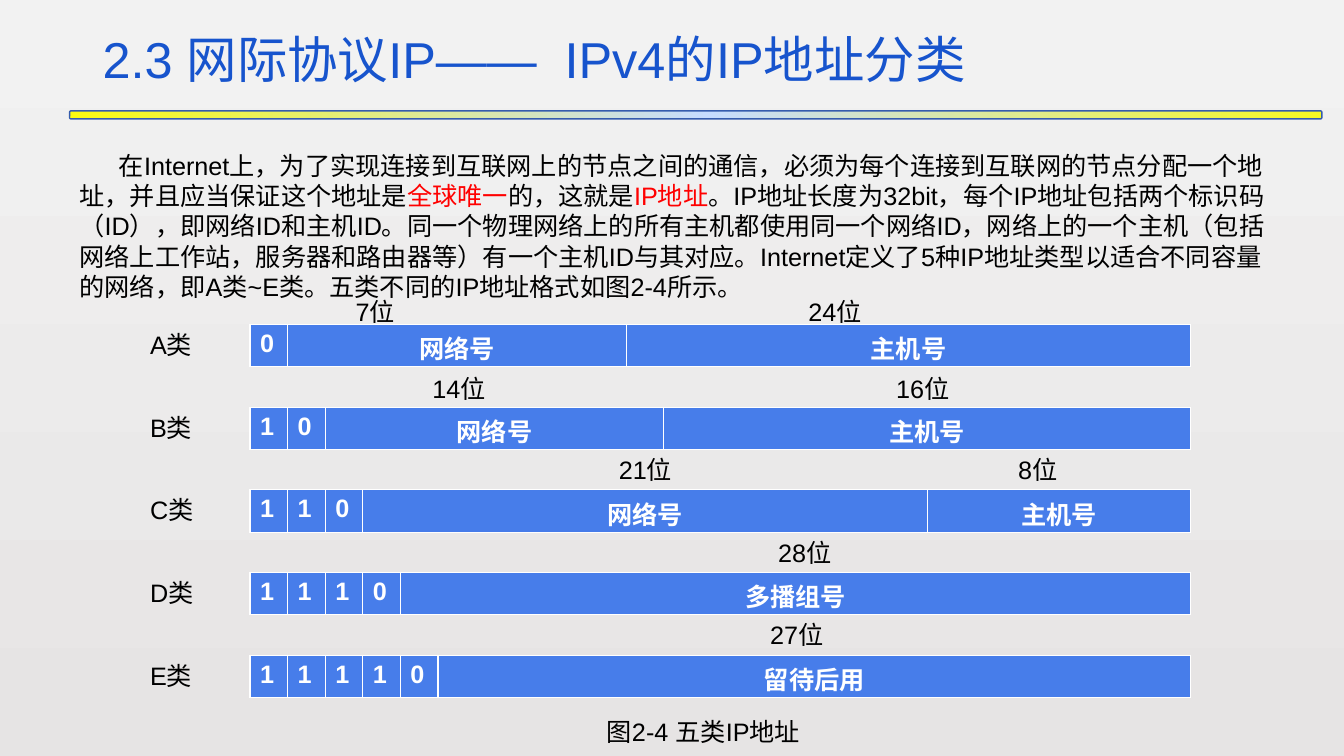
from dataclasses import dataclass

import pptx
import pptx.dml.color
import pptx.enum.shapes
import pptx.enum.text
import pptx.oxml
import pptx.oxml.ns
import pptx.util

Inches = pptx.util.Inches
Pt = pptx.util.Pt


@dataclass(frozen=True)
class Theme:
    font: str = "Arial"
    title_size: int = 36
    body_size: int = 18
    title: str = "1754CD"
    text: str = "000000"
    accent: str = "FF0000"
    field: str = "477DEA"
    field_text: str = "FFFFFF"
    rule_line: str = "355CAD"
    rule_stops: tuple = ((0, "FBFB11"), (51, "C6DCFF"), (100, "F7F923"))
    backdrop_stops: tuple = ((0, "F2F2F2"), (100, "E6E4E4"))


THEME = Theme()
FIELD_LEFT = 2.48
FIELD_WIDTH = 9.33
FIELD_UNITS = 25
ROW_HEIGHT = 0.42
FIRST_ROW_TOP = 3.22
ROW_PITCH = 0.82

INTRO = (
    ("在Internet上，为了实现连接到互联网上的节点之间的通信，必须为每个连接到互联网的节点"
     "分配一个地址，并且应当保证这个地址是", THEME.text),
    ("全球唯一", THEME.accent),
    ("的，这就是", THEME.text),
    ("IP地址", THEME.accent),
    ("。IP地址长度为32bit，每个IP地址包括两个标识码（ID），即网络ID和主机ID。"
     "同一个物理网络上的所有主机都使用同一个网络ID，网络上的一个主机"
     "（包括网络上工作站，服务器和路由器等）有一个主机ID与其对应。"
     "Internet定义了5种IP地址类型以适合不同容量的网络，即A类~E类。"
     "五类不同的IP地址格式如图2-4所示。", THEME.text),
)

# name, prefix bits, (field, units), lift of the lengths, (length, left)
ADDRESS_CLASSES = (
    ("A类", "0", (("网络号", 9), ("主机号", 15)), 0.33, (("7位", 3.43), ("24位", 7.92))),
    ("B类", "10", (("网络号", 9), ("主机号", 14)), 0.39, (("14位", 4.19), ("16位", 8.79))),
    ("C类", "110", (("网络号", 15), ("主机号", 7)), 0.4, (("21位", 6.04), ("8位", 10))),
    ("D类", "1110", (("多播组号", 21),), 0.4, (("28位", 7.62),)),
    ("E类", "11110", (("留待后用", 20),), 0.41, (("27位", 7.54),)),
)


def rgb(colour):
    return pptx.dml.color.RGBColor.from_string(colour)


def style_font(font, size, colour=None, bold=None):
    font.name = THEME.font
    font.size = Pt(size)
    font.bold = bold
    if colour:
        font.color.rgb = rgb(colour)


def set_gradient(fill, owner, stops, angle):
    fill.gradient()
    fill.gradient_angle = angle
    stop_list = owner.find(".//" + pptx.oxml.ns.qn("a:gsLst"))
    for stop in list(stop_list):
        stop_list.remove(stop)
    for position, colour in stops:
        stop_list.append(pptx.oxml.parse_xml(
            f'<a:gs {pptx.oxml.ns.nsdecls("a")} pos="{position * 1000}">'
            f'<a:srgbClr val="{colour}"/></a:gs>'))


def add_text(slide, left, top, width, height, text, size=THEME.body_size, colour=THEME.text):
    frame = slide.shapes.add_textbox(
        Inches(left), Inches(top), Inches(width), Inches(height)).text_frame
    frame.word_wrap = True
    paragraph = frame.paragraphs[0]
    paragraph.text = text
    style_font(paragraph.font, size, colour)
    return frame


def add_title(slide):
    frame = add_text(slide, 0.92, 0.07, 11.5, 0.87, "2.3 网际协议IP——  IPv4的IP地址分类",
                     THEME.title_size, THEME.title)
    frame.vertical_anchor = pptx.enum.text.MSO_ANCHOR.BOTTOM
    frame.paragraphs[0].line_spacing = 0.9


def add_rule(slide):
    rule = slide.shapes.add_shape(
        pptx.enum.shapes.MSO_SHAPE.ROUNDED_RECTANGLE,
        Inches(0.69), Inches(1.1), Inches(12.42), Inches(0.08))
    rule.shadow.inherit = False
    set_gradient(rule.fill, rule.element, THEME.rule_stops, 0)
    rule.line.color.rgb = rgb(THEME.rule_line)
    rule.line.width = Pt(1)


def add_intro(slide):
    frame = add_text(slide, 0.69, 1.44, 11.99, 1.61, "", colour=None)
    paragraph = frame.paragraphs[0]
    paragraph._p.get_or_add_pPr().set("indent", str(Inches(0.39)))
    for text, colour in INTRO:
        run = paragraph.add_run()
        run.text = text
        run.font.color.rgb = rgb(colour)


def add_fields(slide, top, prefix, fields):
    cells = [(bit, 1) for bit in prefix] + list(fields)
    table = slide.shapes.add_table(
        1, len(cells), Inches(FIELD_LEFT), Inches(top),
        Inches(FIELD_WIDTH), Inches(ROW_HEIGHT)).table
    table.horz_banding = False
    for index, (text, units) in enumerate(cells):
        table.columns[index].width = Inches(FIELD_WIDTH * units / FIELD_UNITS)
        cell = table.cell(0, index)
        cell.fill.solid()
        cell.fill.fore_color.rgb = rgb(THEME.field)
        paragraph = cell.text_frame.paragraphs[0]
        paragraph.text = text
        if index >= len(prefix):
            paragraph.alignment = pptx.enum.text.PP_ALIGN.CENTER
        style_font(paragraph.font, THEME.body_size, THEME.field_text, True)


def add_address_class(slide, top, name, prefix, fields, lift, lengths):
    add_fields(slide, top, prefix, fields)
    add_text(slide, 1.39, top, 0.69, 0.4, name)
    for length, left in lengths:
        add_text(slide, left, top - lift, 0.99, 0.4, length)


def main():
    deck = pptx.Presentation()
    deck.slide_width = Inches(13.33)
    deck.slide_height = Inches(7.5)
    slide = deck.slides.add_slide(deck.slide_layouts[6])
    set_gradient(slide.background.fill, slide.element, THEME.backdrop_stops, 270)
    add_rule(slide)
    add_title(slide)
    add_intro(slide)
    for index, address_class in enumerate(ADDRESS_CLASSES):
        add_address_class(slide, FIRST_ROW_TOP + index * ROW_PITCH, *address_class)
    add_text(slide, 5.92, 7.06, 2.43, 0.4, "图2-4 五类IP地址")
    deck.save("out.pptx")


if __name__ == "__main__":
    main()
